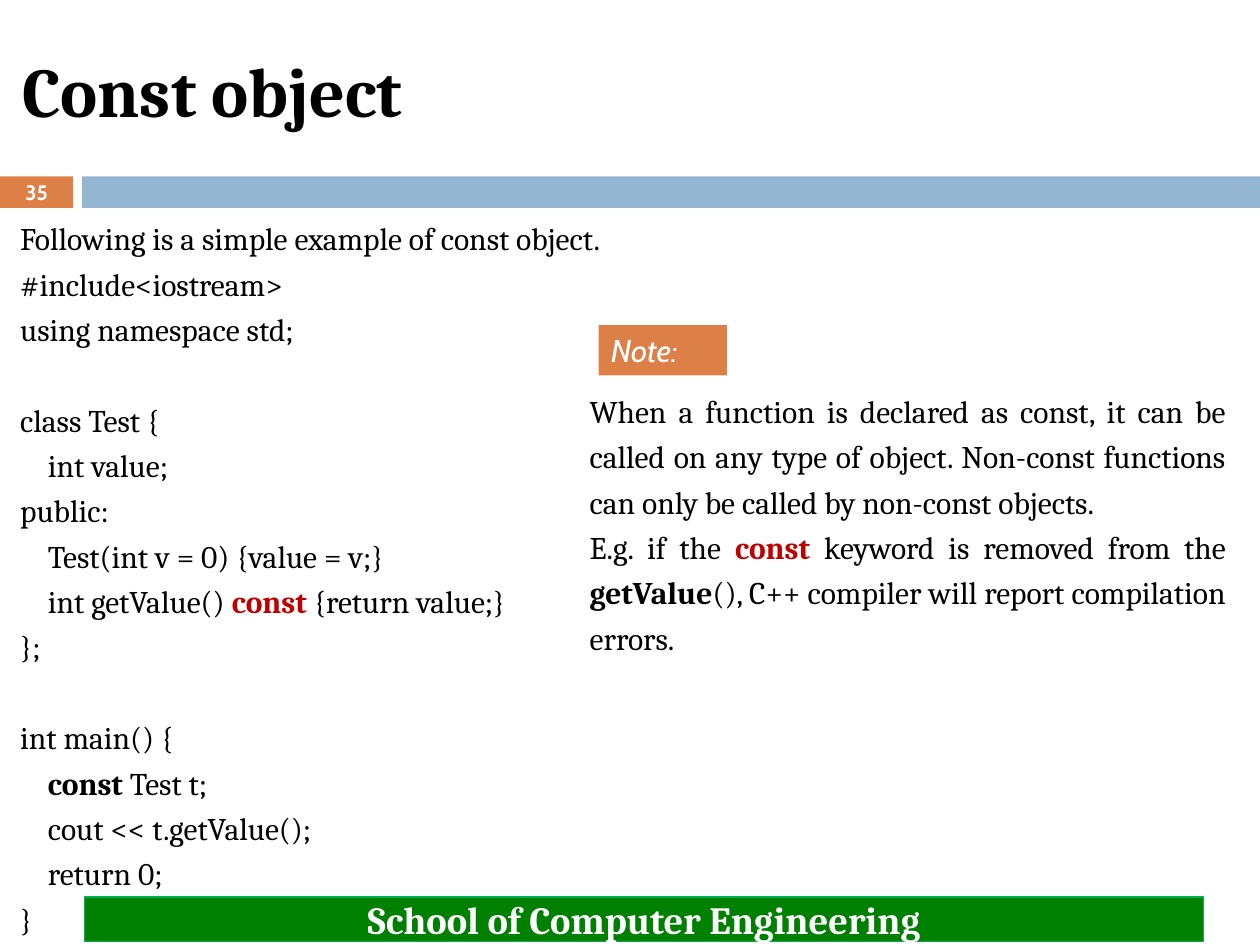
import pptx
import pptx.dml.color
import pptx.enum.shapes
import pptx.enum.text
import pptx.util
from lxml import etree
from pptx.util import Inches, Pt

COLORS = {
    "black": "000000",
    "white": "FFFFFF",
    "orange": "DD8047",
    "blue": "94B6D2",
    "green": "008000",
    "green edge": "00B050",
    "red": "C00000",
}
ALIGN = pptx.enum.text.PP_ALIGN
ANCHOR = pptx.enum.text.MSO_ANCHOR
LINE_PITCH = Pt(26)
CODE_INDENT = Inches(0.22)

TITLE = "Const object"
# Each paragraph: (indent level, blank lines before, [(text, bold, color), ...])
CODE = [
    (0, 0, [("Following is a simple example of const object.", False, "black")]),
    (0, 0, [("#include<iostream>", False, "black")]),
    (0, 0, [("using namespace std;", False, "black")]),
    (0, 1, [("class Test {", False, "black")]),
    (1, 0, [("int value;", False, "black")]),
    (0, 0, [("public:", False, "black")]),
    (1, 0, [("Test(int v = 0) {value = v;}", False, "black")]),
    (1, 0, [("int getValue() ", False, "black"), ("const", True, "red"),
            (" {return value;}", False, "black")]),
    (0, 0, [("};", False, "black")]),
    (0, 1, [("int main() {", False, "black")]),
    (1, 0, [("const", True, "black"), (" Test t;", False, "black")]),
    (1, 0, [("cout << t.getValue();", False, "black")]),
    (1, 0, [("return 0;", False, "black")]),
    (0, 0, [("}", False, "black")]),
]
NOTE = [
    (0, 0, [("When a function is declared as const, it can be called on any type of "
             "object. Non-const functions can only be called by non-const objects.",
             False, "black")]),
    (0, 0, [("E.g. if the ", False, "black"), ("const", True, "red"),
            (" keyword is removed from the ", False, "black"),
            ("getValue", True, "black"),
            ("(), C++ compiler will report compilation errors.", False, "black")]),
]


def rgb(name):
    return pptx.dml.color.RGBColor.from_string(COLORS[name])


def place(shape, left, top, width, height):
    shape.left, shape.top = Inches(left), Inches(top)
    shape.width, shape.height = Inches(width), Inches(height)


def style(run, size, color, font="Cambria", bold=False, italic=False):
    run.font.size, run.font.name = Pt(size), font
    run.font.bold, run.font.italic = bold, italic
    run.font.color.rgb = rgb(color)


def write_line(shape, text, align, anchor, **run_style):
    frame = shape.text_frame
    frame.text = text
    frame.word_wrap = True
    frame.auto_size = pptx.enum.text.MSO_AUTO_SIZE.NONE
    frame.vertical_anchor = anchor
    frame.paragraphs[0].alignment = align
    style(frame.paragraphs[0].runs[0], **run_style)


def write_body(body, paragraphs):
    """Fill a body placeholder with unbulleted, justified paragraphs."""
    frame = body.text_frame
    frame.word_wrap = True
    frame.auto_size = pptx.enum.text.MSO_AUTO_SIZE.NONE
    for index, (level, blanks, runs) in enumerate(paragraphs):
        paragraph = frame.add_paragraph() if index else frame.paragraphs[0]
        paragraph.alignment = ALIGN.JUSTIFY
        paragraph.line_spacing = 1.2
        paragraph.space_before = LINE_PITCH * blanks
        paragraph.space_after = Pt(0)
        properties = paragraph._p.get_or_add_pPr()
        properties.set("marL", str(CODE_INDENT * level))
        properties.set("indent", "0")
        etree.SubElement(properties, pptx.oxml.ns.qn("a:buNone"))
        for text, bold, color in runs:
            run = paragraph.add_run()
            run.text = text
            style(run, 18, color, bold=bold)


def add_bar(slide, box, fill, edge=None):
    bar = slide.shapes.add_shape(pptx.enum.shapes.MSO_SHAPE.RECTANGLE,
                                 *map(Inches, box))
    bar.shadow.inherit = False
    bar.fill.solid()
    bar.fill.fore_color.rgb = rgb(fill)
    if edge:
        bar.line.color.rgb = rgb(edge)
        bar.line.width = Pt(0.75)
    else:
        bar.line.fill.background()
    return bar


def main():
    deck = pptx.Presentation()
    deck.slide_width, deck.slide_height = Inches(10), Inches(7.5)
    slide = deck.slides.add_slide(deck.slide_layouts.get_by_name("Two Content"))
    title, code, note = slide.placeholders

    place(title, 0.08, 0.17, 9.67, 1.08)
    write_line(title, TITLE, ALIGN.LEFT, ANCHOR.MIDDLE,
               size=40, color="black", bold=True)
    place(code, 0.06, 1.63, 9.8, 5.48)
    write_body(code, CODE)
    place(note, 4.58, 3, 5.25, 2.67)
    write_body(note, NOTE)

    add_bar(slide, (0.65, 1.4, 9.35, 0.25), "blue")
    page_number = add_bar(slide, (0, 1.4, 0.58, 0.25), "orange")
    write_line(page_number, "35", ALIGN.CENTER, ANCHOR.MIDDLE,
               size=11.9, color="white", font="Cabin", bold=True)
    note_label = add_bar(slide, (4.75, 2.58, 1.02, 0.4), "orange")
    write_line(note_label, "Note:", ALIGN.LEFT, ANCHOR.TOP,
               size=18, color="white", font="Cabin", italic=True)
    footer = add_bar(slide, (0.67, 7.12, 8.88, 0.35), "green", "green edge")
    write_line(footer, "School of Computer Engineering", ALIGN.CENTER, ANCHOR.MIDDLE,
               size=22, color="white", bold=True)

    deck.save("out.pptx")


if __name__ == "__main__":
    main()
